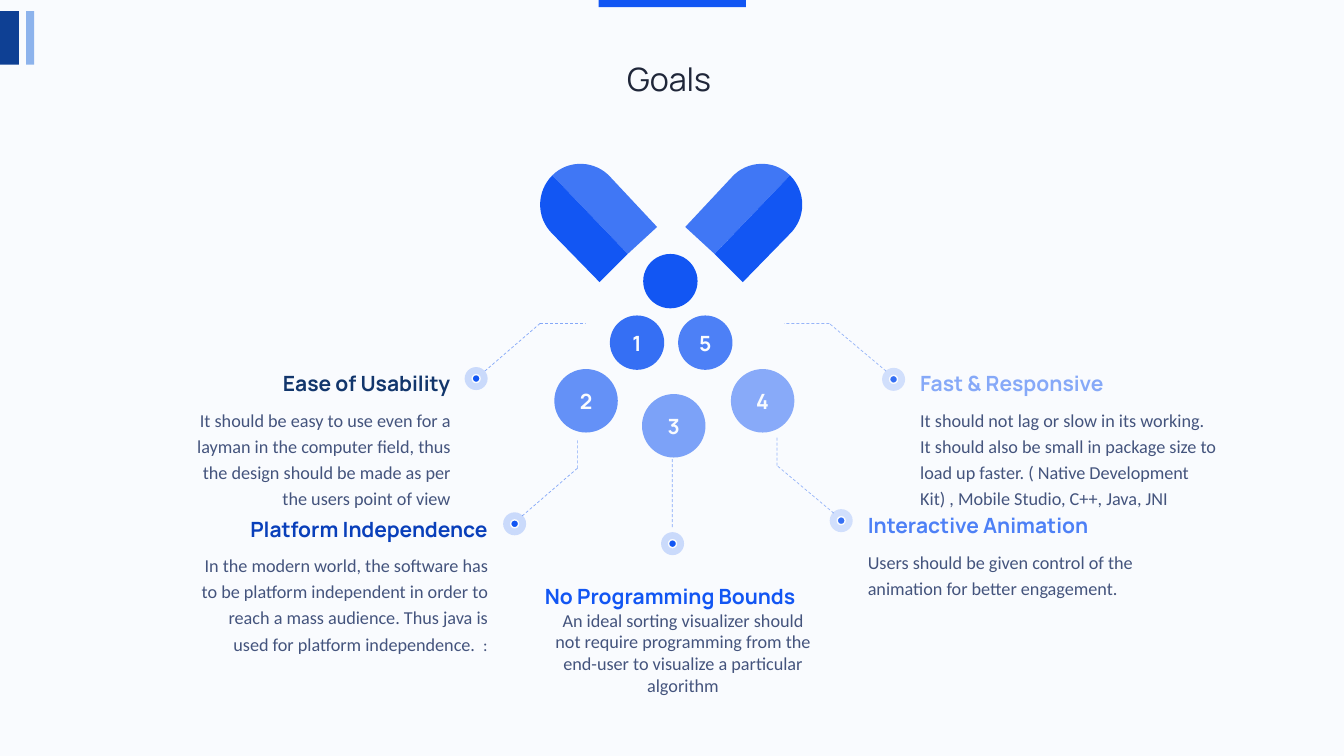
from dataclasses import dataclass

from lxml import etree
from pptx import Presentation
from pptx import util as u
from pptx.dml import color
from pptx.enum import dml, shapes, text
from pptx.oxml import ns


@dataclass(frozen=True)
class Theme:
    background: str = "F9FBFE"
    title: str = "1F2639"
    body: str = "44547D"
    primary: str = "1256F3"
    secondary: str = "356FF4"
    navy: str = "0E4094"
    sky: str = "8DB3EC"
    heading_font: str = "Manrope"
    body_font: str = "Calibri"
    title_size: int = 23
    heading_size: int = 15
    body_size: int = 13
    tail_size: int = 12


LEFT, CENTER, RIGHT = text.PP_ALIGN.LEFT, text.PP_ALIGN.CENTER, text.PP_ALIGN.RIGHT


def rgb(value):
    return color.RGBColor.from_string(value)


def set_alpha(element, percent):
    tint = next(element.iter(ns.qn("a:srgbClr")))
    etree.SubElement(tint, ns.qn("a:alpha")).set("val", str(percent * 1000))


def bezier(p0, p1, p2, p3, steps=16):
    """Points along a cubic curve, without its start."""
    for step in range(1, steps + 1):
        t = step / steps
        weights = ((1 - t) ** 3, 3 * t * (1 - t) ** 2, 3 * t * t * (1 - t), t ** 3)
        yield tuple(sum(w * p[axis] for w, p in zip(weights, (p0, p1, p2, p3)))
                    for axis in (0, 1))


class SlideBuilder:
    def __init__(self, slide, theme):
        self.slide, self.theme = slide, theme
        slide.background.fill.solid()
        slide.background.fill.fore_color.rgb = rgb(theme.background)

    def format_runs(self, paragraph, font, size, tint, bold=False):
        for run in paragraph.runs:
            run.font.name, run.font.size, run.font.bold = font, u.Pt(size), bold
            run.font.color.rgb = rgb(tint)

    def set_insets(self, frame, side, vertical):
        frame.margin_left = frame.margin_right = u.Cm(side)
        frame.margin_top = frame.margin_bottom = u.Cm(vertical)

    def paint(self, shape, fill, alpha=None, outline=None):
        shape.shadow.inherit = False
        shape.fill.solid()
        shape.fill.fore_color.rgb = rgb(fill)
        if alpha:
            set_alpha(shape._element.spPr, alpha)
        if outline:
            shape.line.color.rgb = rgb(outline)
            shape.line.width = u.Pt(1)
        else:
            shape.line.fill.background()
        return shape

    def title(self, wording, left, top, width, height):
        heading = self.slide.shapes.title
        heading.left, heading.top = u.Cm(left), u.Cm(top)
        heading.width, heading.height = u.Cm(width), u.Cm(height)
        frame = heading.text_frame
        frame.text = wording
        frame.vertical_anchor = text.MSO_ANCHOR.MIDDLE
        frame.auto_size = text.MSO_AUTO_SIZE.NONE
        self.set_insets(frame, 0.25, 0)
        line = frame.paragraphs[0]
        line.alignment, line.line_spacing = CENTER, 0.9
        self.format_runs(line, self.theme.heading_font, self.theme.title_size, self.theme.title)

    def shape(self, kind, left, top, width, height, fill, **style):
        added = self.slide.shapes.add_shape(
            kind, u.Cm(left), u.Cm(top), u.Cm(width), u.Cm(height))
        return self.paint(added, fill, **style)

    def bar(self, *box, fill):
        self.shape(shapes.MSO_SHAPE.RECTANGLE, *box, fill)

    def ball(self, label, left, top, size, fill):
        ball = self.shape(shapes.MSO_SHAPE.FLOWCHART_CONNECTOR, left, top, size, size, fill)
        if label:
            frame = ball.text_frame
            frame.text = label
            frame.vertical_anchor = text.MSO_ANCHOR.MIDDLE
            self.set_insets(frame, 0, 0)
            frame.paragraphs[0].alignment = CENTER
            self.format_runs(frame.paragraphs[0], self.theme.heading_font,
                             self.theme.heading_size, self.theme.background, bold=True)

    def outline(self, points, fill, alpha=None):
        corners = [(u.Cm(x), u.Cm(y)) for x, y in points]
        builder = self.slide.shapes.build_freeform(*corners[0], scale=1.0)
        builder.add_line_segments(corners[1:], close=True)
        self.paint(builder.convert_to_shape(), fill, alpha)

    def leader(self, points, tint):
        for start, end in zip(points, points[1:]):
            link = self.slide.shapes.add_connector(
                shapes.MSO_CONNECTOR.STRAIGHT, *(u.Cm(v) for v in start + end))
            link.line.color.rgb = rgb(tint)
            link.line.width = u.Pt(0.5)
            link.line.dash_style = dml.MSO_LINE.DASH
            properties = link._element.spPr
            set_alpha(properties, 50)
            etree.SubElement(properties, ns.qn("a:effectLst"))

    def marker(self, x, y, tint):
        halo, core = 0.58, 0.2
        oval = shapes.MSO_SHAPE.OVAL
        self.shape(oval, x - halo / 2, y - halo / 2, halo, halo, tint, alpha=20)
        self.shape(oval, x - core / 2, y - core / 2, core, core, tint,
                   outline=self.theme.background)

    def callout(self, heading, detail, box, tint, align, tail=""):
        frame = self.slide.shapes.add_textbox(*(u.Cm(v) for v in box)).text_frame
        frame.word_wrap = True
        frame.auto_size = text.MSO_AUTO_SIZE.SHAPE_TO_FIT_TEXT
        self.set_insets(frame, 0, 0.1)
        frame.text = heading
        head, body = frame.paragraphs[0], frame.add_paragraph()
        body.text = detail
        for paragraph in (head, body):
            paragraph.alignment, paragraph.line_spacing = align, 1.2
            paragraph.space_before = u.Pt(6)
        if tail:
            body.add_run().text = tail
        self.format_runs(head, self.theme.heading_font, self.theme.heading_size, tint, bold=True)
        self.format_runs(body, self.theme.body_font, self.theme.body_size, self.theme.body)
        if tail:
            body.runs[-1].font.size = u.Pt(self.theme.tail_size)
        if align == CENTER:  # the middle callout is set tighter and indented
            body.line_spacing, body.space_before = 1.0, u.Pt(0)
            body._p.get_or_add_pPr().set("marL", str(u.Cm(0.64)))


def main():
    theme = Theme()
    deck = Presentation()
    deck.slide_width, deck.slide_height = u.Cm(33.87), u.Cm(19.05)
    goals = SlideBuilder(deck.slides.add_slide(deck.slide_layouts[5]), theme)

    # Header
    goals.bar(15.09, 0, 3.71, 0.18, fill=theme.primary)
    goals.title("Goals ", 2.34, 1.55, 29.21, 0.97)

    # Open capsule: two mirrored halves, each with a lighter upper side
    seam, shoulder = (15.82, 6.4), (13.92, 4.42)
    lower = [seam, (15.11, 7.11), (13.92, 5.89),
             *bezier((13.92, 5.89), (13.51, 5.49), (13.51, 4.83), shoulder)]
    upper = [seam, (16.56, 5.72), (15.39, 4.47),
             *bezier((15.39, 4.47), (15.01, 4.04), (14.33, 4.01), shoulder)]
    for mirrored in (False, True):
        for side, alpha in ((lower, None), (upper, 80)):
            points = [(33.83 - x, y) for x, y in side] if mirrored else side
            goals.outline(points, theme.primary, alpha)

    # Numbered balls
    for ball in (("", 16.21, 6.4, 1.37, theme.primary),
                 ("1", 15.37, 7.95, 1.37, theme.secondary),
                 ("5", 17.09, 7.95, 1.37, "4D80F6"),
                 ("2", 13.97, 9.3, 1.6, "6491F7"),
                 ("3", 16.18, 9.93, 1.6, "7CA2F8"),
                 ("4", 18.42, 9.3, 1.6, "88AAF9")):
        goals.ball(*ball)

    # Callout texts
    goals.callout("No Programming Bounds", "An ideal sorting visualizer should not require programming "
                  "from the end-user to visualize a particular algorithm",
                  (13.31, 14.48, 7.16, 3.2), theme.primary, CENTER)
    goals.callout("Fast & Responsive", "It should not lag or slow in its working. It should also be small "
                  "in package size to load up faster. ( Native Development Kit) , Mobile Studio, C++, Java, JNI",
                  (23.19, 9.12, 7.49, 3.86), "86A9F8", LEFT)
    goals.callout("Ease of Usability", "It should be easy to use even for a layman in the computer field, "
                  "thus the design should be made as per the users point of view",
                  (4.8, 9.12, 6.55, 4.72), "12366C", RIGHT)
    goals.callout("Platform Independence", "In the modern world, the software has to be platform independent "
                  "in order to reach a mass audience. Thus java is used for platform independence.  ",
                  (4.8, 12.78, 7.49, 3.86), "093FBA", RIGHT, tail=":")
    goals.callout("Interactive Animation", "Users should be given control of the animation for better "
                  "engagement.", (21.87, 12.7, 7.49, 2.51), "4D80F6", LEFT)

    # Leader lines and markers
    for center, points, tint in (
            ((16.95, 13.7), [(16.94, 13.28), (16.94, 11.56)], theme.primary),
            ((22.52, 9.56), [(22.33, 9.35), (20.9, 8.15), (19.76, 8.15)], theme.secondary),
            ((12.0, 9.54), [(12.22, 9.35), (13.61, 8.15), (14.76, 8.15)], theme.primary),
            ((12.97, 13.2), [(13.16, 13.0), (14.55, 11.8), (14.55, 11.07)], theme.primary),
            ((21.2, 13.12), [(21.01, 12.93), (19.58, 11.73), (19.58, 11.0)], theme.secondary)):
        goals.leader(points, tint)
        goals.marker(*center, tint)

    # Corner bars
    goals.bar(0, 0.28, 0.48, 1.35, fill=theme.navy)
    goals.bar(0.66, 0.28, 0.2, 1.35, fill=theme.sky)

    deck.save("out.pptx")


if __name__ == "__main__":
    main()
